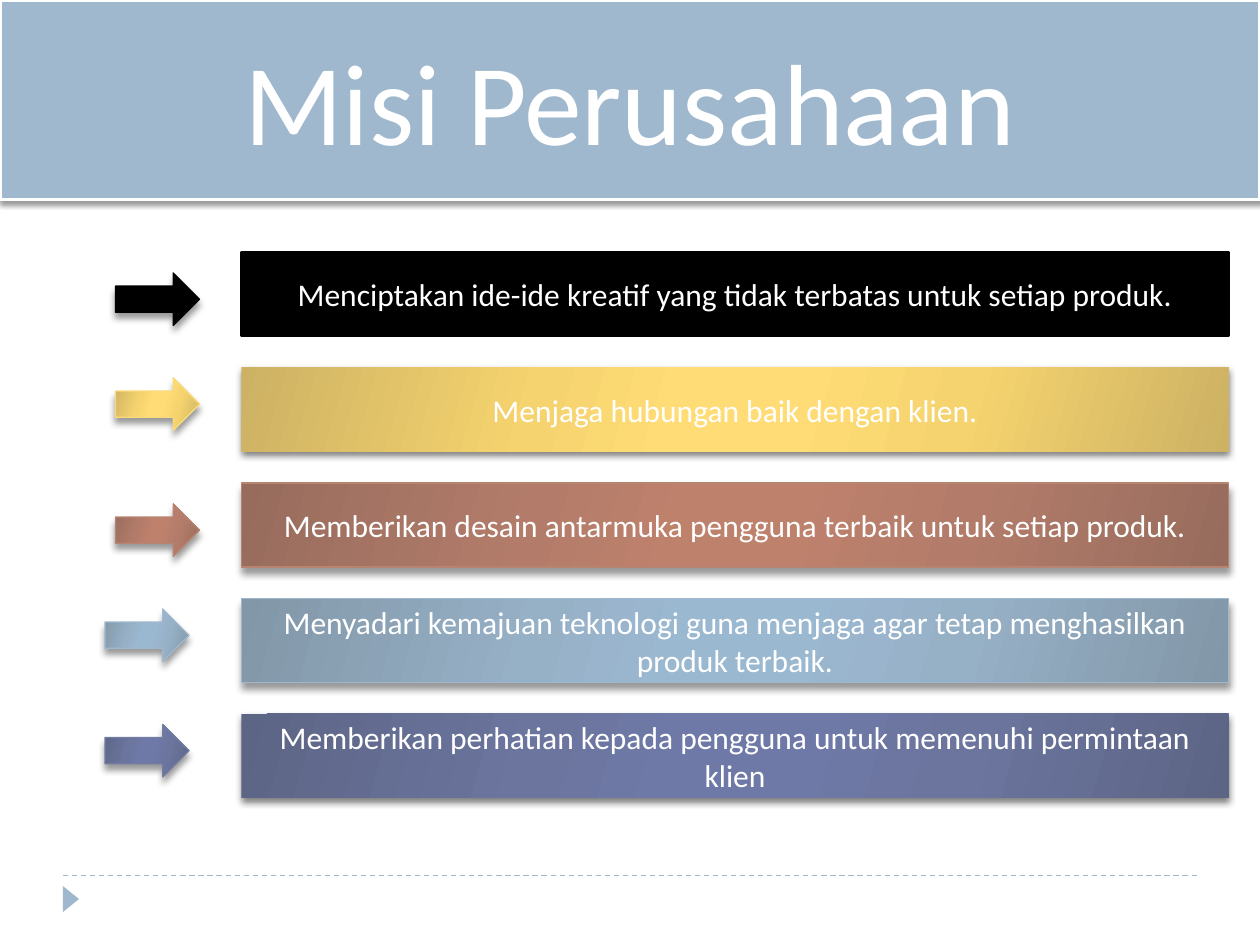
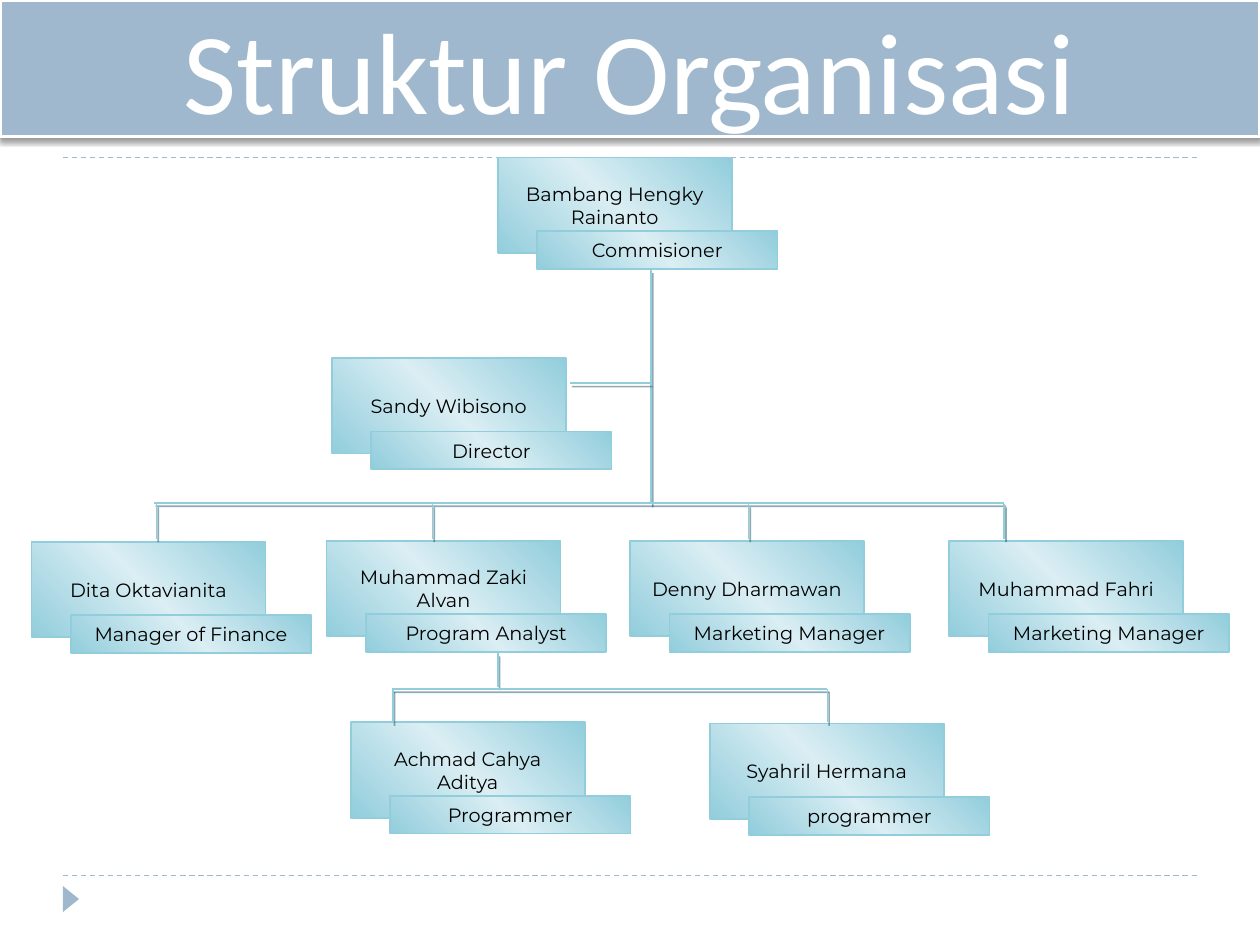
import pptx
import pptx.util
import pptx.dml.color
import pptx.enum.dml
import pptx.enum.shapes
import pptx.enum.text
import pptx.oxml
import pptx.oxml.ns
import lxml.etree

rgb = pptx.dml.color.RGBColor.from_string
qn = pptx.oxml.ns.qn
SHAPE = pptx.enum.shapes.MSO_SHAPE
STRAIGHT = pptx.enum.shapes.MSO_CONNECTOR.STRAIGHT

deck = pptx.Presentation()
deck.slide_width, deck.slide_height = pptx.util.Inches(10), pptx.util.Inches(7.5)
# Grid of 120 columns by 90 rows
cell = deck.slide_width / 120

# Shared colours, shadows (colour, opacity, blur, distance, angle) and text formats
STEEL, WHITE, BLACK, AQUA = "9FB8CD", "FFFFFF", "000000", "92CDDC"
BAND_SHADOW = (BLACK, 40, 3, 2, 90)
SOFT_SHADOW = (BLACK, 40, 4, 3.4, 90)
DEEP_SHADOW = (BLACK, 50, 4, 2, 90)
TREE_SHADOW = ("205867", 50, 0, 2.2, 63)
TITLE_FONT = {"name": "Calibri", "size": pptx.util.Pt(66)}
BAR_FONT = {"name": "Calibri", "size": pptx.util.Pt(18)}
TREE_FONT = {"name": "Montserrat", "size": pptx.util.Pt(11)}


def add_line(slide, x1, y1, x2, y2, colour, weight, shadow=None):
    """Straight line between two grid points, with an optional shadow."""
    line = slide.shapes.add_connector(STRAIGHT, *(round(v * cell) for v in (x1, y1, x2, y2)))
    line.line.color.rgb = rgb(colour)
    line.line.width = pptx.util.Pt(weight)
    effects = lxml.etree.SubElement(line._element.spPr, qn("a:effectLst"))
    if shadow:
        effects.append(shadow_xml(shadow))
    return line


def shadow_xml(shadow):
    """Outer shadow element from colour, opacity, blur, distance and angle."""
    colour, opacity, blur, distance, angle = shadow
    return pptx.oxml.parse_xml(
        f'<a:outerShdw xmlns:a="http://schemas.openxmlformats.org/drawingml/2006/main" '
        f'blurRad="{round(blur * 12700)}" dist="{round(distance * 12700)}" '
        f'dir="{angle * 60000}" algn="ctr" rotWithShape="0">'
        f'<a:srgbClr val="{colour}"><a:alpha val="{opacity * 1000}"/></a:srgbClr></a:outerShdw>')


# Mission rows: text, gradient (edge, middle, centre), bar outline, bar shadow,
# arrow outline, arrow column, arrow row
missions = [
    ("Menciptakan ide-ide kreatif yang tidak terbatas untuk setiap produk.",
     None, (BLACK, 1.5), None, BLACK, 11, 26),
    ("Menjaga hubungan baik dengan klien.",
     ("CDB264", "F5D36E", "FFDC75"), None, DEEP_SHADOW, "FADA7A", 11, 36),
    ("Memberikan desain antarmuka pengguna terbaik untuk setiap produk.",
     ("976C5D", "B37C6A", "BE816C"), ("B88472", 0.75), SOFT_SHADOW, "B88472", 11, 48),
    ("Menyadari kemajuan teknologi guna menjaga agar tetap menghasilkan produk terbaik.",
     ("8297A8", "96B0C6", "9BB8D1"), (STEEL, 0.75), SOFT_SHADOW, STEEL, 10, 58),
    ("Memberikan perhatian kepada pengguna untuk memenuhi permintaan klien",
     ("5D6585", "6B759E", "6E79A7"), None, DEEP_SHADOW, "727CA3", 10, 69),
]

# Organisation: column, row, name, role
people = [
    (47.4, 15, "Bambang Hengky Rainanto", "Commisioner"),
    (31.6, 34.1, "Sandy Wibisono", "Director"),
    (3, 51.6, "Dita Oktavianita", "Manager of Finance"),
    (31.1, 51.5, "Muhammad Zaki Alvan", "Program Analyst"),
    (60, 51.5, "Denny Dharmawan", "Marketing Manager"),
    (90.4, 51.5, "Muhammad Fahri", "Marketing Manager"),
    (33.4, 68.8, "Achmad Cahya Aditya", "Programmer"),
    (67.6, 68.9, "Syahril Hermana", "programmer"),
]
branches = [(62, 25.7, 62, 48), (54.3, 36.5, 62, 36.5), (14.65, 47.9, 95.65, 47.9),
            (47.4, 62.2, 47.4, 65.4), (37.3, 65.6, 78.8, 65.6)]
branches += [(x, 48, x, 51.3) for x in (14.9, 41.2, 71.3, 95.65)]
branches += [(x, 65.6, x, 68.8) for x in (37.4, 78.8)]

# Every part: kind, grid box, fill, outline, shadow, text, font, text colour
mission_parts, tree_parts = [], []
for i, (text, tones, outline, shadow, arrow_edge, x, y) in enumerate(missions):
    fill = BLACK
    if tones:
        rim, mid, core = tones
        fill = (16, [(0, rim), (30, mid), (45, core), (55, core), (73, mid), (100, rim)])
    mission_parts += [
        (SHAPE.RECTANGLE, (23, 24 + 11 * i, 94, 8), fill, outline, shadow, text, BAR_FONT, WHITE),
        (SHAPE.RIGHT_ARROW, (x, y, 8, 5), fill, (arrow_edge, 0.75), SOFT_SHADOW, "", BAR_FONT, WHITE)]

sheen = (315, [(0, AQUA), (50, "DAEEF3"), (100, AQUA)])
for x, y, name, role in people:
    for box, text in (((x, y, 22.3, 9.1), name), ((x + 3.75, y + 7, 22.9, 3.6), role)):
        tree_parts.append((SHAPE.RECTANGLE, box, sheen, (AQUA, 1), None, text, TREE_FONT, BLACK))

# Slides: title, band height in rows, dashed rules, parts, branches
pages = [("Misi Perusahaan", 19, [83.4], mission_parts, []),
         ("Struktur Organisasi", 13, [15, 83.4], tree_parts, branches)]

for title, band_rows, rules, parts, lines in pages:
    slide = deck.slides.add_slide(deck.slide_layouts[6])

    # Dashed rules, corner marker and title band lie behind the content
    for y in rules:
        rule = add_line(slide, 6, y, 114, y, STEEL, 0.75)
        rule.line.dash_style = pptx.enum.dml.MSO_LINE.DASH
    frame = [
        (SHAPE.ISOSCELES_TRIANGLE, (5.5, 84.85, 2.5, 1.55), STEEL, None, None, "", BAR_FONT, WHITE),
        (SHAPE.RECTANGLE, (0, 0, 120, band_rows), STEEL, (WHITE, 2), BAND_SHADOW,
         title, TITLE_FONT, WHITE)]

    # Organisation branches lie above the boxes they join
    for kind, box, fill, outline, shadow, text, font, ink in frame + parts:
        part = slide.shapes.add_shape(kind, *(round(v * cell) for v in box))
        part.shadow.inherit = False
        if kind == SHAPE.ISOSCELES_TRIANGLE:
            part.rotation = 90

        # Plain or gradient fill
        if isinstance(fill, str):
            part.fill.solid()
            part.fill.fore_color.rgb = rgb(fill)
        else:
            angle, stops = fill
            part.fill.gradient()
            part.fill.gradient_angle = 360 - angle
            stop_list = part._element.spPr.find(".//" + qn("a:gsLst"))
            for old_stop in list(stop_list):
                stop_list.remove(old_stop)
            for share, colour in stops:
                stop = lxml.etree.SubElement(stop_list, qn("a:gs"), pos=str(share * 1000))
                lxml.etree.SubElement(stop, qn("a:srgbClr"), val=colour)

        # Outline and shadow
        if outline:
            part.line.color.rgb = rgb(outline[0])
            part.line.width = pptx.util.Pt(outline[1])
        else:
            part.line.fill.background()
        if shadow:
            part._element.spPr.find(qn("a:effectLst")).append(shadow_xml(shadow))

        # Centred text
        if text:
            part.text_frame.word_wrap = True
            part.text_frame.vertical_anchor = pptx.enum.text.MSO_ANCHOR.MIDDLE
            paragraph = part.text_frame.paragraphs[0]
            paragraph.alignment = pptx.enum.text.PP_ALIGN.CENTER
            run = paragraph.add_run()
            run.text = text
            run.font.color.rgb = rgb(ink)
            for key, value in font.items():
                setattr(run.font, key, value)

    for ends in lines:
        add_line(slide, *ends, AQUA, 1, TREE_SHADOW)

deck.save("out.pptx")
